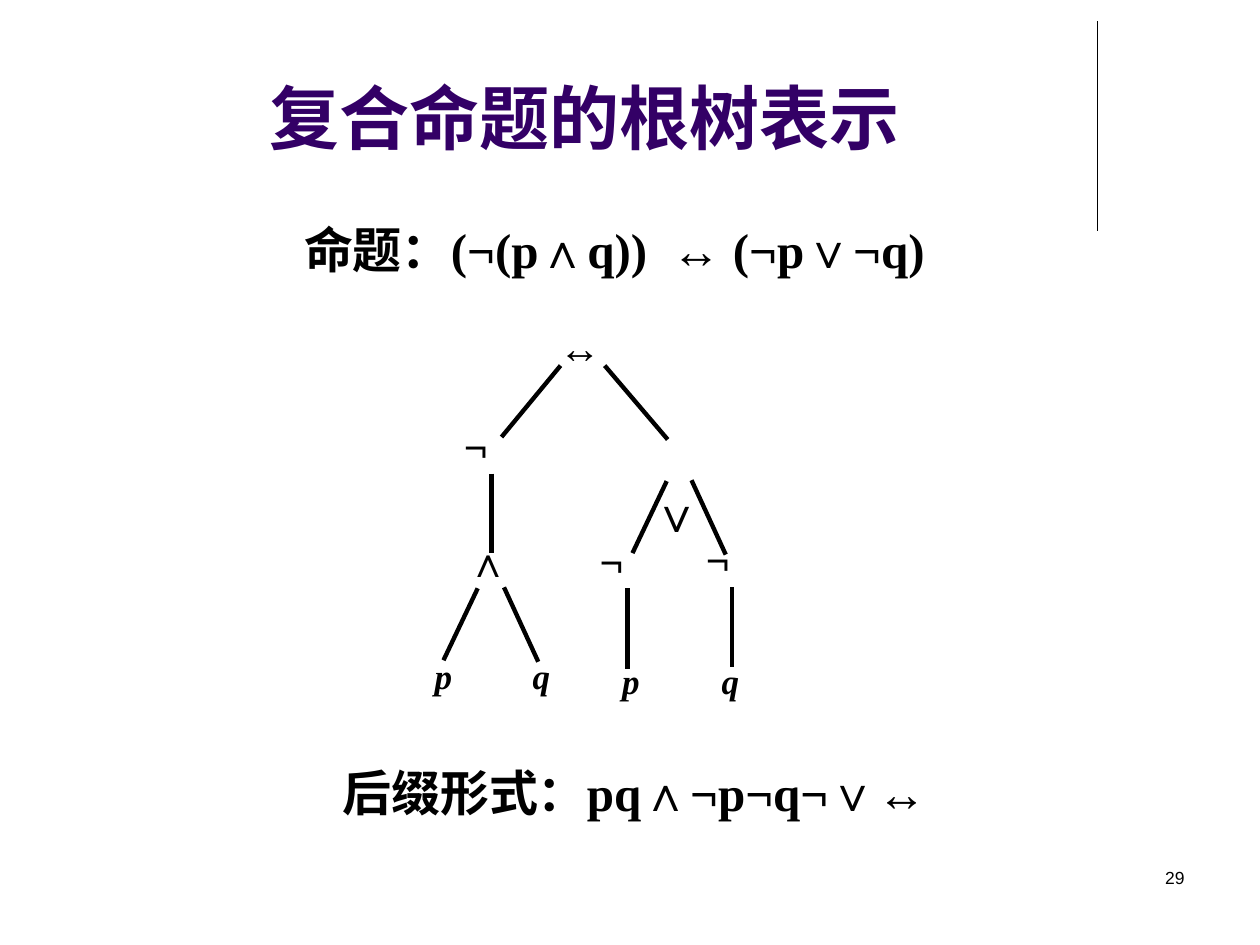
"""Build the slide on rooted-tree representation of compound propositions."""
from lxml import etree
from pptx import Presentation
from pptx.dml.color import RGBColor
from pptx.enum.shapes import MSO_CONNECTOR
from pptx.enum.text import MSO_ANCHOR, MSO_AUTO_SIZE, PP_ALIGN
from pptx.oxml.ns import qn
from pptx.util import Cm, Pt

LEFT, CENTER, RIGHT = PP_ALIGN.LEFT, PP_ALIGN.CENTER, PP_ALIGN.RIGHT
TOP, BOTTOM = MSO_ANCHOR.TOP, MSO_ANCHOR.BOTTOM
NO_AUTOFIT = MSO_AUTO_SIZE.NONE
STRAIGHT = MSO_CONNECTOR.STRAIGHT

SERIF, SANS = "Times New Roman", "Arial"
BLACK, PURPLE = "000000", "330066"

TITLE = ("复合命题的根树表示", (1.3, 1.12, 20.96, 2.21))
PROPOSITION = ("命题：(¬(p∧q))  ↔ (¬p∨¬q)", (0.69, 4.06, 23.39, 1.8))
POSTFIX = ("后缀形式：pq∧¬p¬q¬∨↔", (1.09, 15.01, 23.39, 1.8))
NUMBER = ("29", (18.21, 17.35, 5.92, 1.27))

OPERATORS = [
    (" ↔", (10.29, 6.35, 2.59, 0.99), CENTER, 24, True),
    (" ¬", (8.89, 8.36, 1.4, 1.02), LEFT, 24, True),
    (" ∨", (12.9, 8.43, 1.4, 1.02), LEFT, 28, False),
    (" ∧", (8.94, 10.67, 1.6, 1.24), CENTER, 24, True),
    (" ¬", (11.63, 10.67, 1.4, 1.02), LEFT, 24, True),
    (" ¬", (13.77, 10.64, 1.4, 1.02), LEFT, 24, True),
]
LEAVES = [
    ("p", (8.51, 13.06, 0.81, 0.81)),
    ("q", (10.49, 13.06, 1.4, 1.02)),
    ("p", (12.29, 13.18, 0.81, 0.81)),
    ("q", (14.3, 13.18, 0.81, 0.81)),
]
EDGES = [
    (11.3, 7.37, 10.11, 8.81),
    (12.19, 7.37, 13.46, 8.86),
    (9.91, 9.55, 9.91, 11.15),
    (13.44, 9.7, 12.75, 11.15),
    (13.94, 9.68, 14.63, 11.18),
    (9.63, 11.86, 8.94, 13.31),
    (10.16, 11.84, 10.85, 13.34),
    (12.65, 11.86, 12.65, 13.49),
    (14.76, 11.84, 14.76, 13.44),
]
RULE = (22.12, 0.43, 22.12, 4.65)


def rgb(value):
    return RGBColor.from_string(value)


def write(sp, text, box, size, align=LEFT, bold=True, italic=False,
          font=SERIF, color=BLACK, anchor=TOP):
    sp.left, sp.top, sp.width, sp.height = map(Cm, box)
    tf = sp.text_frame
    tf.word_wrap = True
    tf.auto_size = NO_AUTOFIT
    tf.vertical_anchor = anchor
    tf.text = text
    p = tf.paragraphs[0]
    p.alignment = align
    for r in p.runs:
        r.font.name, r.font.size = font, Pt(size)
        r.font.bold, r.font.italic = bold, italic
        r.font.color.rgb = rgb(color)
    return p


def write_formula(sp, text, box):
    p = write(sp, text, box, 28, CENTER)
    p.line_spacing, p.space_before = 1.2, Pt(0)
    pPr = p._p.get_or_add_pPr()
    pPr.set("marL", str(Cm(0.95)))
    pPr.set("indent", str(-Cm(0.95)))
    etree.SubElement(pPr, qn("a:buNone"))


def add_line(s, ends, width):
    line = s.shapes.add_connector(STRAIGHT, *map(Cm, ends))
    line.line.color.rgb = rgb(BLACK)
    line.line.width = Pt(width)
    etree.SubElement(line._element.spPr, qn("a:effectLst"))


def add_box(s):
    return s.shapes.add_textbox(0, 0, 0, 0)


def main():
    prs = Presentation()
    prs.slide_width, prs.slide_height = Cm(25.4), Cm(19.05)
    s = prs.slides.add_slide(prs.slide_layouts[1])

    add_line(s, RULE, 0.75)
    write(s.shapes.title, *TITLE, 40, CENTER, color=PURPLE, anchor=BOTTOM)
    write_formula(add_box(s), *PROPOSITION)
    write_formula(s.placeholders[1], *POSTFIX)
    for ends in EDGES:
        add_line(s, ends, 2.5)
    for text, box, align, size, bold in OPERATORS:
        write(add_box(s), text, box, size, align, bold)
    for text, box in LEAVES:
        write(add_box(s), text, box, 20, italic=True)
    write(add_box(s), *NUMBER, 10, RIGHT, bold=False, font=SANS)

    prs.save("out.pptx")


if __name__ == "__main__":
    main()
